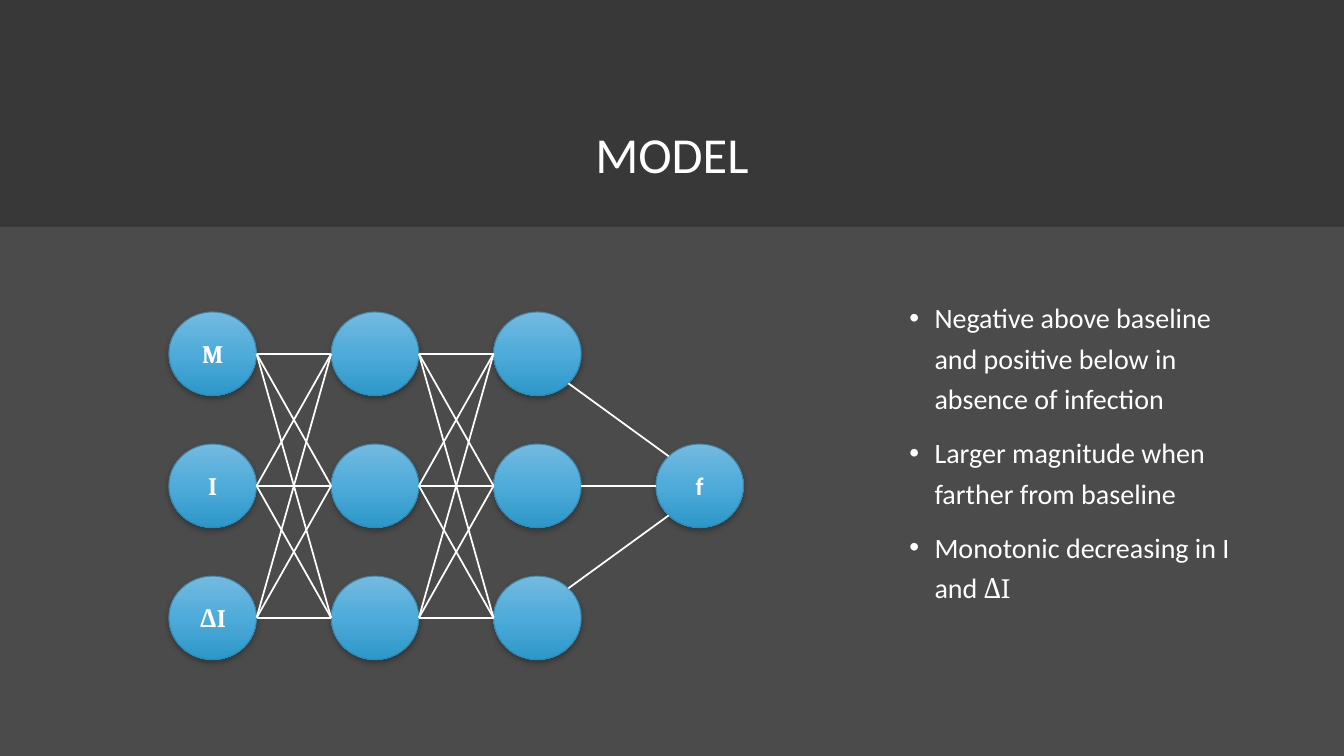
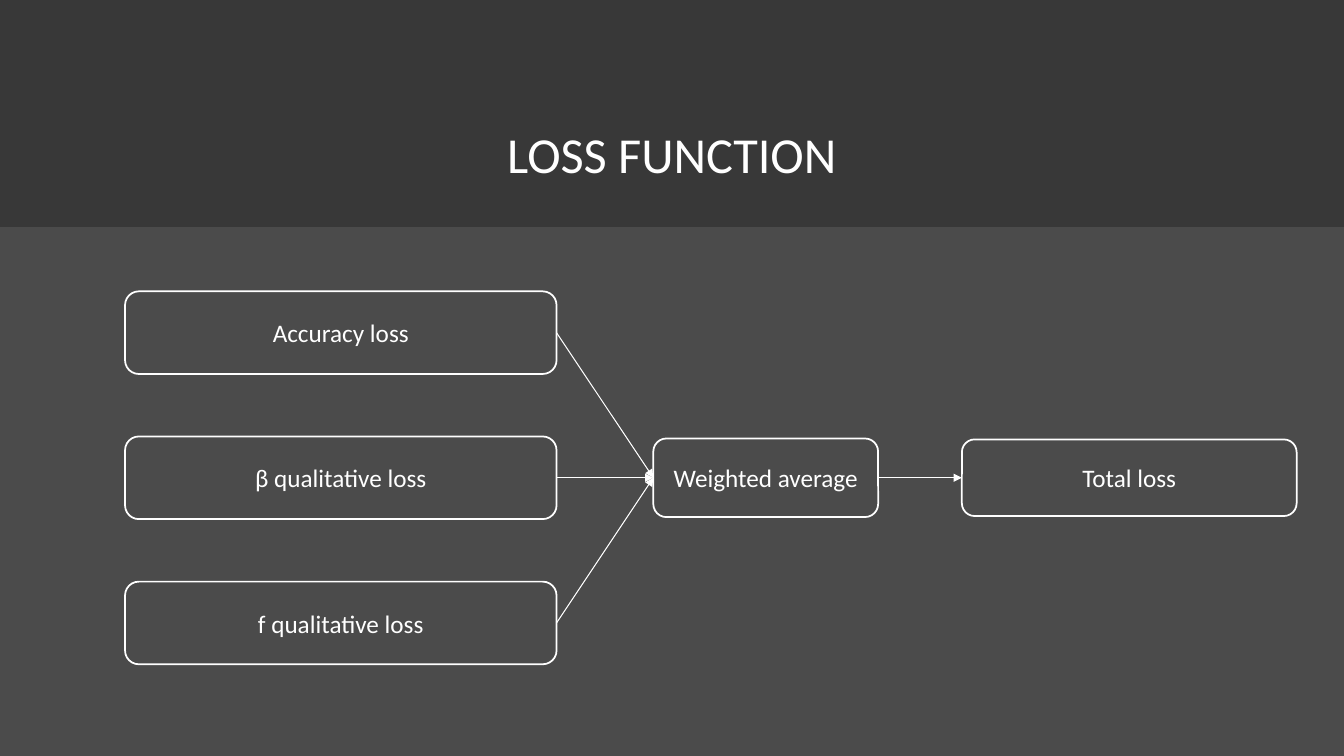
"""Build two dark slides: a neural network model and its loss function."""
import copy
import itertools
import math

import lxml.etree
import pptx
import pptx.dml.color
import pptx.enum.shapes
import pptx.enum.text
import pptx.oxml.ns
import pptx.util

Inches = pptx.util.Inches
Pt = pptx.util.Pt
RGBColor = pptx.dml.color.RGBColor
SHAPE = pptx.enum.shapes.MSO_SHAPE
ALIGN = pptx.enum.text.PP_ALIGN
ANCHOR = pptx.enum.text.MSO_ANCHOR
qn = pptx.oxml.ns.qn

BACKGROUND = RGBColor(0x4B, 0x4B, 0x4B)
BAND = RGBColor(0x38, 0x38, 0x38)
WHITE = RGBColor(0xFF, 0xFF, 0xFF)
NODE_LINE = RGBColor(0x36, 0x87, 0xAE)
NODE_TOP = RGBColor(0x74, 0xBA, 0xE0)
NODE_MIDDLE = RGBColor(0x4E, 0xAB, 0xDA)
NODE_BOTTOM = RGBColor(0x2D, 0x97, 0xC9)

SLIDE_WIDTH, SLIDE_HEIGHT = 13.33, 7.5
NODE_WIDTH, NODE_HEIGHT = 0.87, 0.83
SANS, SERIF = "Calibri", "Cambria"

TITLE_FONT = {"size": Pt(36), "name": SANS}
BODY_FONT = {"size": Pt(20), "name": SANS}
BOX_FONT = {"size": Pt(18), "name": SANS}
NODE_FONT = {"size": Pt(18), "bold": True}
TITLE_PARAGRAPH = {"alignment": ALIGN.CENTER, "line_spacing": 0.9}
LABEL_PARAGRAPH = {"alignment": ALIGN.CENTER}
BULLET_PARAGRAPH = {"line_spacing": 1.2, "space_before": Pt(10)}


def apply_format(target, values):
    for name, value in values.items():
        setattr(target, name, value)


def add_xml(parent, tag, **attributes):
    return lxml.etree.SubElement(parent, qn(tag), attributes)


class Deck:
    def __init__(self):
        self.presentation = pptx.Presentation()
        apply_format(self.presentation, {
            "slide_width": Inches(SLIDE_WIDTH),
            "slide_height": Inches(SLIDE_HEIGHT),
        })
        self.slide = None

    def start_slide(self, title):
        layout = self.presentation.slide_layouts[6]
        self.slide = self.presentation.slides.add_slide(layout)
        fill = self.slide.background.fill
        fill.solid()
        fill.fore_color.rgb = BACKGROUND
        band = self.shape(SHAPE.RECTANGLE, 0, 0, SLIDE_WIDTH, 2.25)
        band.fill.solid()
        band.fill.fore_color.rgb = BAND
        band.line.fill.background()
        frame = self.text_frame(1, 0.68, 11.33, 1.75, ANCHOR.MIDDLE)
        self.add_runs(frame.paragraphs[0], [(title, {})], TITLE_FONT, TITLE_PARAGRAPH)

    def shape(self, kind, left, top, width, height):
        shape = self.slide.shapes.add_shape(
            kind, Inches(left), Inches(top), Inches(width), Inches(height))
        shape.shadow.inherit = False
        return shape

    def text_frame(self, left, top, width, height, anchor):
        box = self.slide.shapes.add_textbox(
            Inches(left), Inches(top), Inches(width), Inches(height))
        apply_format(box.text_frame, {"word_wrap": True, "vertical_anchor": anchor})
        return box.text_frame

    def add_runs(self, paragraph, runs, font, layout):
        apply_format(paragraph, layout)
        for text, changes in runs:
            run = paragraph.add_run()
            run.text = text
            apply_format(run.font, {**font, **changes})
            run.font.color.rgb = WHITE

    def outline(self, shape, color, width):
        shape.line.color.rgb = color
        shape.line.width = Pt(width)

    def bullets(self, left, top, width, height, items):
        frame = self.text_frame(left, top, width, height, ANCHOR.TOP)
        for index, runs in enumerate(items):
            paragraph = frame.add_paragraph() if index else frame.paragraphs[0]
            self.add_runs(paragraph, runs, BODY_FONT, BULLET_PARAGRAPH)
            properties = paragraph._p.get_or_add_pPr()
            properties.set("marL", str(Inches(0.25)))
            properties.set("indent", str(-Inches(0.25)))
            color = add_xml(properties, "a:buClr")
            add_xml(color, "a:srgbClr", val=str(WHITE))
            add_xml(properties, "a:buFont", typeface="Arial")
            add_xml(properties, "a:buChar", char="•")

    def node(self, center, label="", font_name=SERIF):
        x, y = center
        node = self.shape(SHAPE.OVAL, x - NODE_WIDTH / 2, y - NODE_HEIGHT / 2,
                          NODE_WIDTH, NODE_HEIGHT)
        node.fill.gradient()
        node.fill.gradient_angle = 270
        properties = node._element.spPr
        stop_list = properties.find(".//" + qn("a:gsLst"))
        stop_list.insert(1, copy.deepcopy(stop_list[0]))
        colors = (NODE_TOP, NODE_MIDDLE, NODE_BOTTOM)
        for index, (stop, color) in enumerate(zip(node.fill.gradient_stops, colors)):
            stop.position = index / 2
            stop.color.rgb = color
        self.outline(node, NODE_LINE, 0.75)
        shadow = add_xml(properties.find(qn("a:effectLst")), "a:outerShdw",
                         blurRad=str(Pt(4)), dist=str(Pt(2)), dir="5400000",
                         rotWithShape="0")
        shadow_color = add_xml(shadow, "a:srgbClr", val="000000")
        add_xml(shadow_color, "a:alpha", val="28000")
        if label:
            node.text_frame.vertical_anchor = ANCHOR.MIDDLE
            self.add_runs(node.text_frame.paragraphs[0], [(label, {"name": font_name})],
                          NODE_FONT, LABEL_PARAGRAPH)

    def box(self, left, middle, width, height, label):
        box = self.shape(SHAPE.FLOWCHART_ALTERNATE_PROCESS,
                         left, middle - height / 2, width, height)
        box.fill.background()
        self.outline(box, WHITE, 1.25)
        apply_format(box.text_frame,
                     {"word_wrap": True, "vertical_anchor": ANCHOR.MIDDLE})
        self.add_runs(box.text_frame.paragraphs[0], [(label, {})],
                      BOX_FONT, LABEL_PARAGRAPH)
        return box

    def line(self, start=(0, 0), end=(0, 0), width=1.25):
        points = [Inches(value) for value in (*start, *end)]
        connector = self.slide.shapes.add_connector(
            pptx.enum.shapes.MSO_CONNECTOR.STRAIGHT, *points)
        self.outline(connector, WHITE, width)
        add_xml(connector._element.spPr, "a:effectLst")
        return connector

    def arrow(self, source, target):
        connector = self.line(width=0.75)
        connector.begin_connect(source, 3)
        connector.end_connect(target, 1)
        line = connector._element.spPr.find(qn("a:ln"))
        add_xml(line, "a:tailEnd", type="triangle")


def build_model(deck):
    deck.start_slide("MODEL")
    deck.bullets(8.92, 2.87, 3.41, 3.74, [
        [("Negative above baseline and positive below in absence of infection", {})],
        [("Larger magnitude when farther from baseline", {})],
        [("Monotonic decreasing in I and ", {}), ("ΔI", {"name": SERIF})],
    ])
    columns = [2.11 + 1.61 * index for index in range(4)]
    rows = [3.51 + 1.31 * index for index in range(3)]
    layers = [[(x, y) for y in rows] for x in columns[:3]]
    output = (columns[3], rows[1])

    for layer, labels in zip(layers, (("M", "I", "ΔI"), ("",) * 3, ("",) * 3)):
        for center, label in zip(layer, labels):
            deck.node(center, label)
    deck.node(output, "f", SANS)

    radius = NODE_WIDTH / 2
    for layer, following in zip(layers, layers[1:]):
        for (x, y), (next_x, next_y) in itertools.product(layer, following):
            deck.line((x + radius, y), (next_x - radius, next_y))

    diagonal = math.sqrt(0.5)
    for (x, y), side in zip(layers[-1], (1, 0, -1)):
        across = radius * (diagonal if side else 1)
        down = side * diagonal * NODE_HEIGHT / 2
        deck.line((x + across, y + down), (output[0] - across, output[1] - down))


def build_loss(deck):
    deck.start_slide("LOSS FUNCTION")
    middle = 4.74
    labels = ("Accuracy loss", "β qualitative loss", "f qualitative loss")
    losses = [deck.box(1.24, middle + 1.44 * (index - 1), 4.28, 0.82, label)
              for index, label in enumerate(labels)]
    total = deck.box(9.54, middle, 3.32, 0.76, "Total loss")
    average = deck.box(6.48, middle, 2.23, 0.78, "Weighted average")
    for loss in losses:
        deck.arrow(loss, average)
    deck.arrow(average, total)


def main():
    deck = Deck()
    build_model(deck)
    build_loss(deck)
    deck.presentation.save("out.pptx")


if __name__ == "__main__":
    main()
